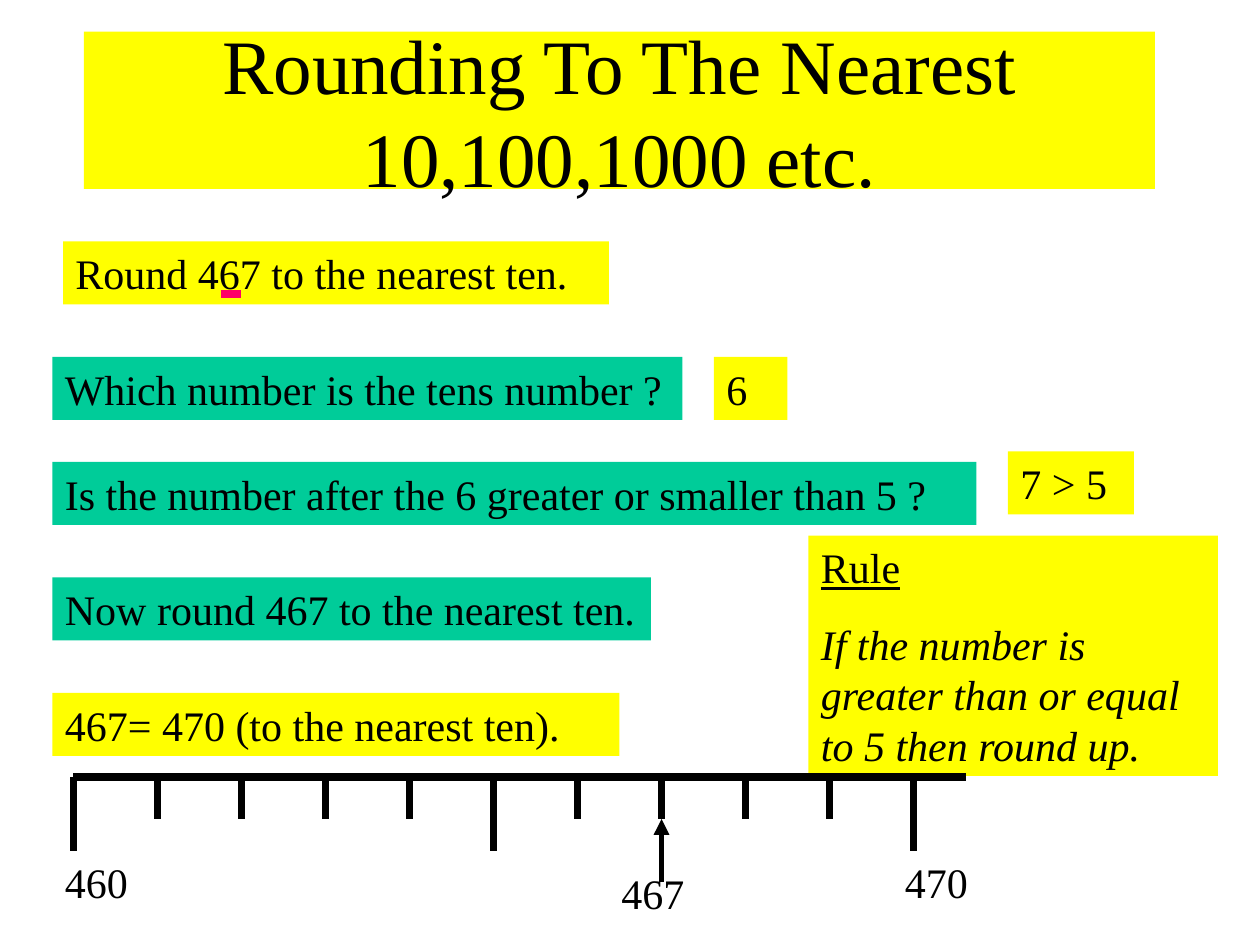
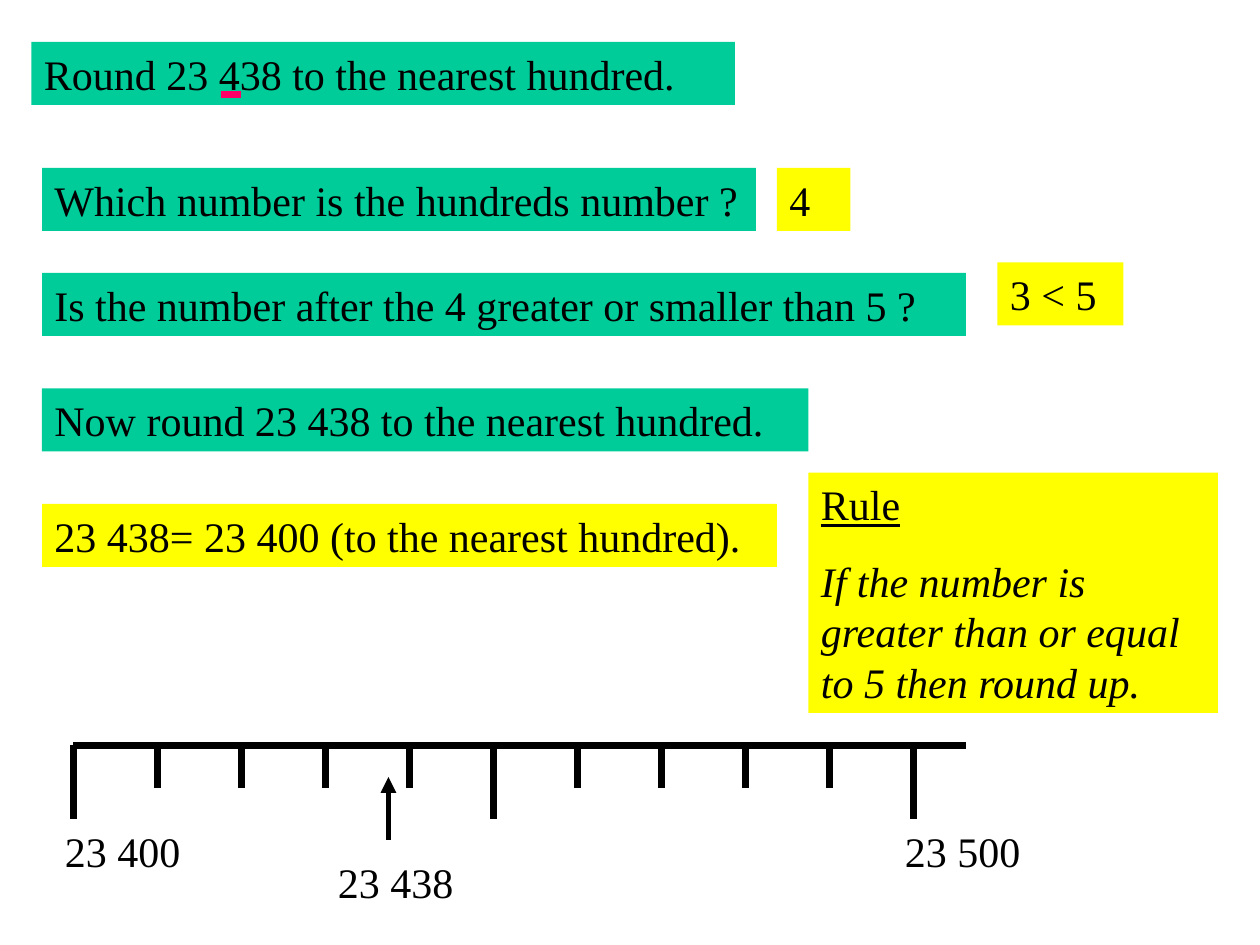
from lxml import etree
from pptx import Presentation
from pptx.dml.color import RGBColor
from pptx.enum.shapes import MSO_CONNECTOR, MSO_SHAPE
from pptx.enum.text import MSO_ANCHOR, PP_ALIGN
from pptx.oxml.ns import qn
from pptx.util import Pt

EMU_PER_PX = 7620  # 120 px to the inch
RECTANGLE, STRAIGHT = MSO_SHAPE.RECTANGLE, MSO_CONNECTOR.STRAIGHT
LEFT, CENTER = PP_ALIGN.LEFT, PP_ALIGN.CENTER
TOP, MIDDLE = MSO_ANCHOR.TOP, MSO_ANCHOR.MIDDLE
YELLOW, GREEN, PINK, BLACK = "FFFF00", "00CC99", "FF0066", "000000"
FONT = "Times New Roman"
BODY_FORMAT = {"name": FONT, "size": Pt(24)}
TITLE_FORMAT = {"name": FONT, "size": Pt(44)}
PARAGRAPH_GAP = Pt(15)
ROW_HEIGHT = 60
RULE = [("Rule", {"underline": True}),
        ("If the number is greater than or equal to 5 then round up.", {"italic": True})]
AXIS_LEFT, AXIS_RIGHT = 70, 920
TICK_STEP, SHORT_TICK, LONG_TICK = 80, 40, 70
POINTER_LENGTH = 60


def px(length):
    return length * EMU_PER_PX


def color(hex_string):
    return RGBColor.from_string(hex_string)


def write(box, paragraphs, base_format, align, anchor):
    """Fill a box with (text, extra format) paragraphs."""
    frame = box.text_frame
    frame.word_wrap = True
    frame.vertical_anchor = anchor
    for index, (text, extra) in enumerate(paragraphs):
        para = frame.add_paragraph() if index else frame.paragraphs[0]
        para.alignment = align
        if index:
            para.space_before = PARAGRAPH_GAP
        span = para.add_run()
        span.text = text
        for name, value in {**base_format, **extra}.items():
            setattr(span.font, name, value)
        span.font.color.rgb = color(BLACK)


def add_panel(page, paragraphs, left, top, width, height, fill,
              base_format=BODY_FORMAT, align=LEFT, anchor=TOP):
    panel = page.shapes.add_shape(RECTANGLE, *map(px, (left, top, width, height)))
    panel.shadow.inherit = False
    panel.fill.solid()
    panel.fill.fore_color.rgb = color(fill)
    panel.line.fill.background()
    write(panel, paragraphs, base_format, align, anchor)


def add_label(page, text, left, top, width):
    label = page.shapes.add_textbox(*map(px, (left, top, width, ROW_HEIGHT)))
    write(label, [(text, {})], BODY_FORMAT, LEFT, TOP)


def add_line(page, start, end, line_color=BLACK, width=4.5, arrow=False):
    line = page.shapes.add_connector(STRAIGHT, *map(px, (*start, *end)))
    line.line.color.rgb = color(line_color)
    line.line.width = Pt(width)
    properties = line._element.spPr
    etree.SubElement(properties, qn("a:effectLst"))
    if arrow:
        etree.SubElement(properties.find(qn("a:ln")), qn("a:tailEnd"), type="triangle")


def add_rows(page, rows):
    for text, left, top, width, fill in rows:
        add_panel(page, [(text, {})], left, top, width, ROW_HEIGHT, fill)


def add_digit_mark(page, y):
    add_line(page, (210, y), (230, y), PINK)


def add_rule(page, top):
    add_panel(page, RULE, 770, top, 390, 229, YELLOW)


def add_number_line(page, y, labels, pointer_tip):
    """Draw ten intervals below y, their labels and an arrow to the number."""
    add_line(page, (AXIS_LEFT, y), (AXIS_RIGHT, y))
    for index in range(11):
        x = AXIS_LEFT + index * TICK_STEP
        length = SHORT_TICK if index % 5 else LONG_TICK
        add_line(page, (x, y), (x, y + length))
    for label in labels:
        add_label(page, *label)
    tip_x, tip_y = pointer_tip
    add_line(page, (tip_x, tip_y + POINTER_LENGTH), pointer_tip, width=3, arrow=True)


def build_nearest_ten(page):
    add_panel(page, [("Rounding To The Nearest 10,100,1000 etc.", {})],
              80, 30, 1020, 150, YELLOW, TITLE_FORMAT, CENTER, MIDDLE)
    add_rows(page, [
        ("Round 467 to the nearest ten.", 60, 230, 520, YELLOW),
        ("Which number is the tens number ?", 50, 340, 600, GREEN),
        ("6", 680, 340, 70, YELLOW),
        ("Is the number after the 6 greater or smaller than 5 ?", 50, 440, 880, GREEN),
        ("7 > 5", 960, 430, 120, YELLOW),
        ("Now round 467 to the nearest ten.", 50, 550, 570, GREEN),
        ("467= 470 (to the nearest ten).", 50, 660, 540, YELLOW),
    ])
    add_digit_mark(page, 280)
    add_rule(page, 510)
    add_number_line(page, 740, [("460", 50, 810, 110), ("470", 850, 810, 90),
                                ("467", 580, 820, 150)], (630, 780))


def build_nearest_hundred(page):
    add_rows(page, [
        ("Round 23 438 to the nearest hundred.", 30, 40, 670, GREEN),
        ("Which number is the hundreds number ?", 40, 160, 680, GREEN),
        ("4", 740, 160, 70, YELLOW),
        ("Is the number after the 4 greater or smaller than 5 ?", 40, 260, 880, GREEN),
        ("3 < 5", 950, 250, 120, YELLOW),
        ("Now round 23 438 to the nearest hundred.", 40, 370, 730, GREEN),
        ("23 438= 23 400 (to the nearest hundred).", 40, 480, 700, YELLOW),
    ])
    add_digit_mark(page, 90)
    add_rule(page, 450)
    add_number_line(page, 710, [("23 400", 50, 780, 150), ("23 500", 850, 780, 170),
                                ("23 438", 310, 810, 150)], (370, 740))


def main():
    deck = Presentation()
    deck.slide_width, deck.slide_height = px(1200), px(900)
    for build in (build_nearest_ten, build_nearest_hundred):
        build(deck.slides.add_slide(deck.slide_layouts[6]))
    deck.save("out.pptx")


if __name__ == "__main__":
    main()
